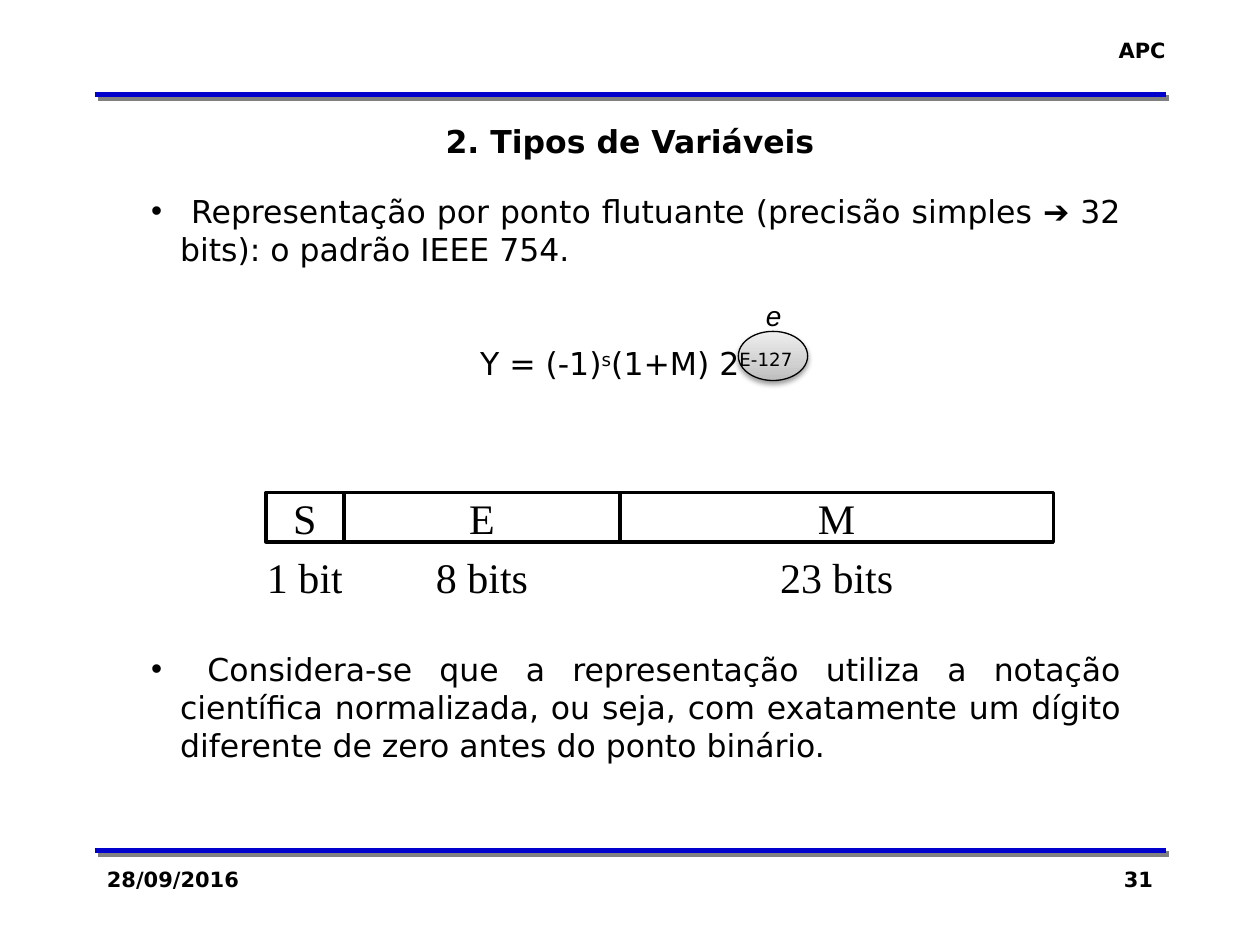
from copy import deepcopy
from dataclasses import dataclass

from lxml import etree
from pptx import Presentation
from pptx.dml.color import RGBColor
from pptx.enum import shapes, text
from pptx.oxml import ns
from pptx.util import Inches, Pt


@dataclass(frozen=True)
class Theme:
    black: RGBColor = RGBColor(0x00, 0x00, 0x00)
    white: RGBColor = RGBColor(0xFF, 0xFF, 0xFF)
    blue: RGBColor = RGBColor(0x00, 0x00, 0xCC)
    greys: tuple = ((0, "BDBDBD"), (0.35, "D1D1D1"), (1, "EEEEEE"))
    sans: str = "DejaVu Sans"
    serif: str = "Times New Roman"
    label_font: str = "Arial"
    main: int = 18
    small: int = 12
    field: int = 24
    label: int = 16
    leading: float = 21.8


THEME = Theme()
ALIGN = text.PP_ALIGN


def add_run(paragraph, words, size, font=THEME.sans, bold=False, italic=False,
            superscript=False):
    run = paragraph.add_run()
    run.text = words
    run.font.name, run.font.size = font, Pt(size)
    run.font.bold, run.font.italic = bold, italic
    run.font.color.rgb = THEME.black
    if superscript:
        run.font._element.set("baseline", "30000")


def place(shape, left, top, width, height):
    shape.left, shape.top = Inches(left), Inches(top)
    shape.width, shape.height = Inches(width), Inches(height)


def add_shadow(shape, color, alpha, blur, distance, angle):
    properties = shape._element.spPr
    effects = properties.find(ns.qn("a:effectLst"))
    if effects is None:
        effects = etree.SubElement(properties, ns.qn("a:effectLst"))
    outer = etree.SubElement(effects, ns.qn("a:outerShdw"), blurRad=str(Pt(blur)),
                             dist=str(Pt(distance)), dir=str(angle * 60000),
                             algn="ctr", rotWithShape="0")
    tint = etree.SubElement(outer, ns.qn("a:srgbClr"), val=color)
    etree.SubElement(tint, ns.qn("a:alpha"), val=str(alpha * 1000))


def add_rule(slide, y):
    rule = slide.shapes.add_connector(shapes.MSO_CONNECTOR.STRAIGHT, Inches(0.75),
                                      Inches(y), Inches(9.25), Inches(y))
    rule.line.color.rgb, rule.line.width = THEME.blue, Pt(3)
    add_shadow(rule, "808080", 100, 0, 2.8, 45)


def add_label(slide, box, words, size, align=ALIGN.LEFT, wrap=True, **style):
    frame = slide.shapes.add_textbox(*map(Inches, box)).text_frame
    frame.word_wrap = wrap
    frame.paragraphs[0].alignment = align
    add_run(frame.paragraphs[0], words, size, **style)


def add_field(slide, left, top, width, words, border):
    field = slide.shapes.add_shape(shapes.MSO_SHAPE.RECTANGLE, Inches(left),
                                   Inches(top), Inches(width), Inches(0.39))
    field.shadow.inherit = False
    field.fill.solid()
    field.fill.fore_color.rgb = THEME.white
    field.line.color.rgb, field.line.width = border, Pt(2)
    frame = field.text_frame
    frame.word_wrap = False
    frame.vertical_anchor = text.MSO_ANCHOR.MIDDLE
    frame.paragraphs[0].alignment = ALIGN.CENTER
    add_run(frame.paragraphs[0], words, THEME.field, THEME.serif)


def add_exponent_oval(slide, body):
    oval = slide.shapes.add_shape(shapes.MSO_SHAPE.OVAL, Inches(5.86), Inches(2.63),
                                  Inches(0.55), Inches(0.39))
    oval.shadow.inherit = False
    oval.fill.gradient()
    oval.fill.gradient_angle = 90
    stops = oval._element.spPr.find(".//" + ns.qn("a:gsLst"))
    stops.insert(1, deepcopy(stops[0]))
    for stop, (position, color) in zip(oval.fill.gradient_stops, THEME.greys):
        stop.position, stop.color.rgb = position, RGBColor.from_string(color)
    oval.line.color.rgb, oval.line.width = THEME.black, Pt(0.75)
    add_shadow(oval, "000000", 38, 3.1, 1.6, 90)
    # The oval lies behind the formula
    body._element.addprevious(oval._element)


def format_paragraph(paragraph, align, blank_lines=0, bullet=False):
    properties = paragraph._p.get_or_add_pPr()
    indent = Inches(0.23) if bullet else 0
    properties.set("marL", str(indent))
    properties.set("indent", str(-indent))
    if bullet:
        etree.SubElement(properties, ns.qn("a:buFont"), typeface="Arial")
        etree.SubElement(properties, ns.qn("a:buChar"), char="•")
    else:
        etree.SubElement(properties, ns.qn("a:buNone"))
    paragraph.alignment = align
    paragraph.line_spacing = Pt(THEME.leading)
    paragraph.space_before = Pt(blank_lines * THEME.leading)
    paragraph.space_after = Pt(0)


def fill_title(title):
    place(title, 0.75, 0.92, 8.5, 0.4)
    frame = title.text_frame
    frame.auto_size = text.MSO_AUTO_SIZE.NONE
    frame.vertical_anchor = text.MSO_ANCHOR.TOP
    frame.paragraphs[0].alignment = ALIGN.CENTER
    add_run(frame.paragraphs[0], "2. Tipos de Variáveis", THEME.main, bold=True)


def fill_body(body):
    place(body, 1.1, 1.47, 7.9, 4.64)
    frame = body.text_frame
    frame.auto_size = text.MSO_AUTO_SIZE.NONE

    precision = frame.paragraphs[0]
    format_paragraph(precision, ALIGN.JUSTIFY, bullet=True)
    add_run(precision, " Representação por ponto flutuante (precisão simples ➔ 32 "
            "bits): o padrão IEEE 754.", THEME.main)

    formula = frame.add_paragraph()
    format_paragraph(formula, ALIGN.CENTER, blank_lines=2)
    for words, raised in (("Y = (-1)", False), ("s", True),
                          ("(1+M) 2", False), ("E-127", True)):
        add_run(formula, words, THEME.main, superscript=raised)

    notation = frame.add_paragraph()
    format_paragraph(notation, ALIGN.JUSTIFY, blank_lines=7, bullet=True)
    add_run(notation, " Considera-se que a representação utiliza a notação científica "
            "normalizada, ou seja, com exatamente um dígito diferente de zero antes "
            "do ponto binário.", THEME.main)


def main():
    prs = Presentation()
    prs.slide_width, prs.slide_height = Inches(10), Inches(7.5)
    slide = prs.slides.add_slide(prs.slide_layouts[1])
    title, body = slide.placeholders

    # Title, bullets and formula
    fill_title(title)
    fill_body(body)
    add_exponent_oval(slide, body)
    add_label(slide, (5.98, 2.32, 0.33, 0.37), "e", THEME.label, wrap=False,
              font=THEME.label_font, italic=True)

    # Header and footer
    for y in (0.75, 6.75):
        add_rule(slide, y)
    add_label(slide, (8.77, 0.25, 0.58, 0.3), "APC", THEME.small, ALIGN.RIGHT,
              wrap=False, bold=True)
    add_label(slide, (0.75, 6.83, 2.08, 0.5), "28/09/2016", THEME.small, bold=True)
    add_label(slide, (7.17, 6.83, 2.08, 0.5), "31", THEME.small, ALIGN.RIGHT,
              bold=True)

    # Fields of the number, with their sizes below
    left = 2.11
    for name, size, width in (("S", "1 bit", 0.62), ("E", "8 bits", 2.19),
                              ("M", "23 bits", 3.44)):
        add_field(slide, left, 3.91, width, name, THEME.black)
        add_field(slide, left, 4.38, width, size, THEME.white)
        left += width

    prs.save("out.pptx")


if __name__ == "__main__":
    main()
